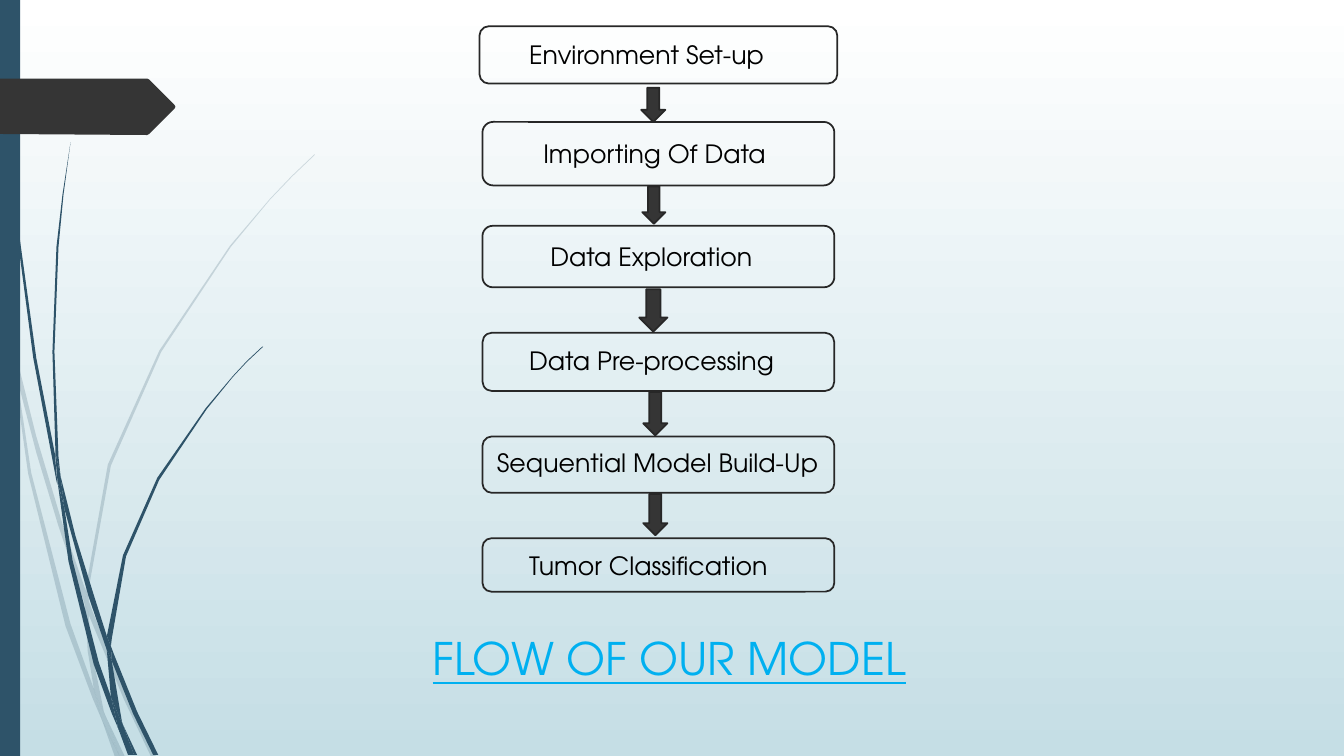
from dataclasses import dataclass

from lxml import etree
from pptx import Presentation, util as u
from pptx.dml.color import RGBColor
from pptx.enum import shapes, text
from pptx.oxml.ns import qn


@dataclass(frozen=True)
class Theme:
    """Colours, font and type sizes of the slide."""
    font: str = "TeX Gyre Adventor"
    teal: str = "2E5369"
    dark: str = "353535"
    edge: str = "272727"
    ink: str = "000000"
    blue: str = "00B0F0"
    top: str = "FFFFFF"
    base: str = "C5DEE5"
    body: int = 18
    head: int = 32
    line: float = 1.25


STEPS = [
    ("Environment Set-up", 0.26, 3.55, 0.57, (5.15, 0.34, 3.21)),
    ("Importing Of Data", 1.21, 3.49, 0.63, (5.29, 1.32, 3.07)),
    ("Data Exploration", 2.24, 3.49, 0.61, (5.36, 2.34, 2.79)),
    ("Data Pre-processing", 3.3, 3.49, 0.58, (5.15, 3.38, 4.5)),
    ("Sequential Model Build-Up", 4.33, 3.49, 0.56, (4.83, 4.39, 3.41)),
    ("Tumor Classification", 5.34, 3.49, 0.53, (5.15, 5.41, 3.07)),
]
ARROWS = [
    (6.36, 0.87, 0.24, 0.34),
    (6.37, 1.85, 0.23, 0.37),
    (6.34, 2.87, 0.28, 0.42),
    (6.38, 3.89, 0.24, 0.43),
    (6.38, 4.9, 0.24, 0.41),
]
MID = 6.53

PALE = [
    [(11, 350), (9, 322), (0, 282), (0, 299), (10, 344)],
    [(58, 522), (84, 599), (85, 586), (62, 520), (36, 433), (14, 345),
     (17, 376), (36, 449)],
    [(92, 607), (88, 596), (88, 610), (123, 694), (150, 751), (155, 751),
     (127, 692)],
    [(119, 751), (124, 751), (105, 711)],
    [(93, 683), (70, 619), (31, 469), (17, 376), (11, 350), (28, 470),
     (65, 621), (92, 693), (101, 714), (99, 707)],
    [(84, 599), (87, 646), (93, 683), (96, 692), (105, 711), (103, 706),
     (91, 646), (88, 610), (88, 608)],
    [(88, 584), (110, 462), (160, 349), (229, 245), (268, 198), (290, 175),
     (312, 154), (312, 153), (289, 175), (268, 197), (228, 244), (158, 348),
     (107, 461), (85, 584), (85, 586), (88, 596)],
    [(101, 714), (114, 751), (119, 751)],
    [(88, 608), (88, 610), (88, 596), (85, 586), (84, 599)],
    [(96, 692), (93, 683), (99, 707), (101, 714), (119, 751), (105, 711)],
]
DEEP = [
    [(7, 110), (17, 233), (33, 355), (56, 477), (57, 481), (55, 457),
     (55, 453), (36, 355), (19, 232), (8, 109), (5, 48), (4, 0), (3, 0),
     (4, 48)],
    [(88, 592), (106, 645), (106, 633), (106, 631), (93, 590), (75, 532),
     (60, 472), (64, 505)],
    [(113, 649), (110, 641), (111, 656), (132, 708), (152, 749), (157, 749),
     (136, 706)],
    [(110, 691), (98, 657), (72, 556), (64, 505), (57, 477), (68, 557),
     (93, 659), (111, 708), (117, 722), (116, 717)],
    [(60, 472), (58, 453), (54, 349), (58, 245), (63, 193), (70, 141),
     (62, 193), (56, 245), (52, 349), (55, 449)],
    [(133, 749), (136, 749), (122, 719)],
    [(57, 477), (64, 505), (60, 472), (55, 449), (55, 453)],
    [(111, 633), (125, 552), (158, 476), (205, 406), (231, 374), (245, 359),
     (261, 344), (260, 344), (245, 358), (231, 373), (204, 405), (156, 474),
     (122, 551), (106, 631), (110, 641)],
    [(117, 722), (127, 749), (131, 749)],
    [(106, 645), (110, 691), (116, 706), (122, 719), (121, 716), (111, 656),
     (109, 651)],
    [(106, 645), (109, 651), (111, 656), (110, 641), (106, 631), (106, 633)],
    [(116, 706), (110, 691), (116, 717), (117, 722), (130, 749), (133, 749),
     (122, 719)],
]
TAG = [(0, 78), (146, 78), (148, 79), (173, 104), (174, 106), (173, 108),
       (148, 133), (146, 134), (0, 133)]


class Deck:
    """Draws styled elements on the current slide."""

    def __init__(self, theme):
        self.look = theme
        self.prs = Presentation()
        self.prs.slide_width = u.Inches(13.33)
        self.prs.slide_height = u.Inches(7.5)
        self.slide = self.prs.slides.add_slide(self.prs.slide_layouts[5])

    def back(self):
        fill = self.slide.background.fill
        fill.gradient()
        fill.gradient_angle = 270
        for stop, tone in zip(fill.gradient_stops, (self.look.top, self.look.base)):
            stop.color.rgb = RGBColor.from_string(tone)

    def paint(self, shape, fill=None, line=None):
        shape.shadow.inherit = False
        if fill:
            shape.fill.solid()
            shape.fill.fore_color.rgb = RGBColor.from_string(fill)
        else:
            shape.fill.background()
        if line:
            shape.line.color.rgb = RGBColor.from_string(line)
            shape.line.width = u.Pt(self.look.line)
        else:
            shape.line.fill.background()

    def block(self, kind, box, fill=None, line=None):
        shape = self.slide.shapes.add_shape(kind, *map(u.Inches, box))
        self.paint(shape, fill, line)

    def trace(self, pool, knots, fill, alpha=100):
        pen = pool.build_freeform(*knots[0], scale=u.Inches(0.01))
        pen.add_line_segments(knots[1:], close=True)
        shape = pen.convert_to_shape()
        self.paint(shape, fill)
        if alpha < 100:
            tone = shape.element.spPr.find(qn("a:solidFill"))[0]
            etree.SubElement(tone, qn("a:alpha")).set("val", str(alpha * 1000))

    def wisps(self, outlines, alpha=100):
        pool = self.slide.shapes.add_group_shape().shapes
        for knots in outlines:
            self.trace(pool, knots, self.look.teal, alpha)

    def letter(self, shape, words, size, tone, under=None):
        frame = shape.text_frame
        frame.text = words
        frame.word_wrap = True
        frame.auto_size = text.MSO_AUTO_SIZE.SHAPE_TO_FIT_TEXT
        frame.vertical_anchor = text.MSO_ANCHOR.TOP
        frame.paragraphs[0].alignment = text.PP_ALIGN.LEFT
        font = frame.paragraphs[0].runs[0].font
        font.name, font.size, font.underline = self.look.font, u.Pt(size), under
        font.color.rgb = RGBColor.from_string(tone)

    def label(self, words, box):
        shape = self.slide.shapes.add_textbox(*map(u.Inches, box))
        self.letter(shape, words, self.look.body, self.look.ink)

    def title(self, words, box):
        shape = self.slide.shapes.title
        shape.left, shape.top, shape.width, shape.height = map(u.Inches, box)
        self.letter(shape, words, self.look.head, self.look.blue, True)


def main():
    look = Theme()
    deck = Deck(look)
    kind = shapes.MSO_SHAPE
    deck.back()
    deck.wisps(PALE, 20)
    deck.wisps(DEEP)
    deck.block(kind.RECTANGLE, (0, 0, 0.2, 7.5), look.teal)
    deck.trace(deck.slide.shapes, TAG, look.dark)
    for words, top, wide, high, (left, y, span) in STEPS:
        box = (MID - wide / 2, top, wide, high)
        deck.block(kind.FLOWCHART_ALTERNATE_PROCESS, box, line=look.edge)
        deck.label(words, (left, y, span, 0.4))
    for box in ARROWS:
        deck.block(kind.DOWN_ARROW, box, look.dark, look.edge)
    deck.title("FLOW OF OUR MODEL", (4.19, 6.21, 7.85, 0.64))
    deck.prs.save("out.pptx")


if __name__ == "__main__":
    main()
